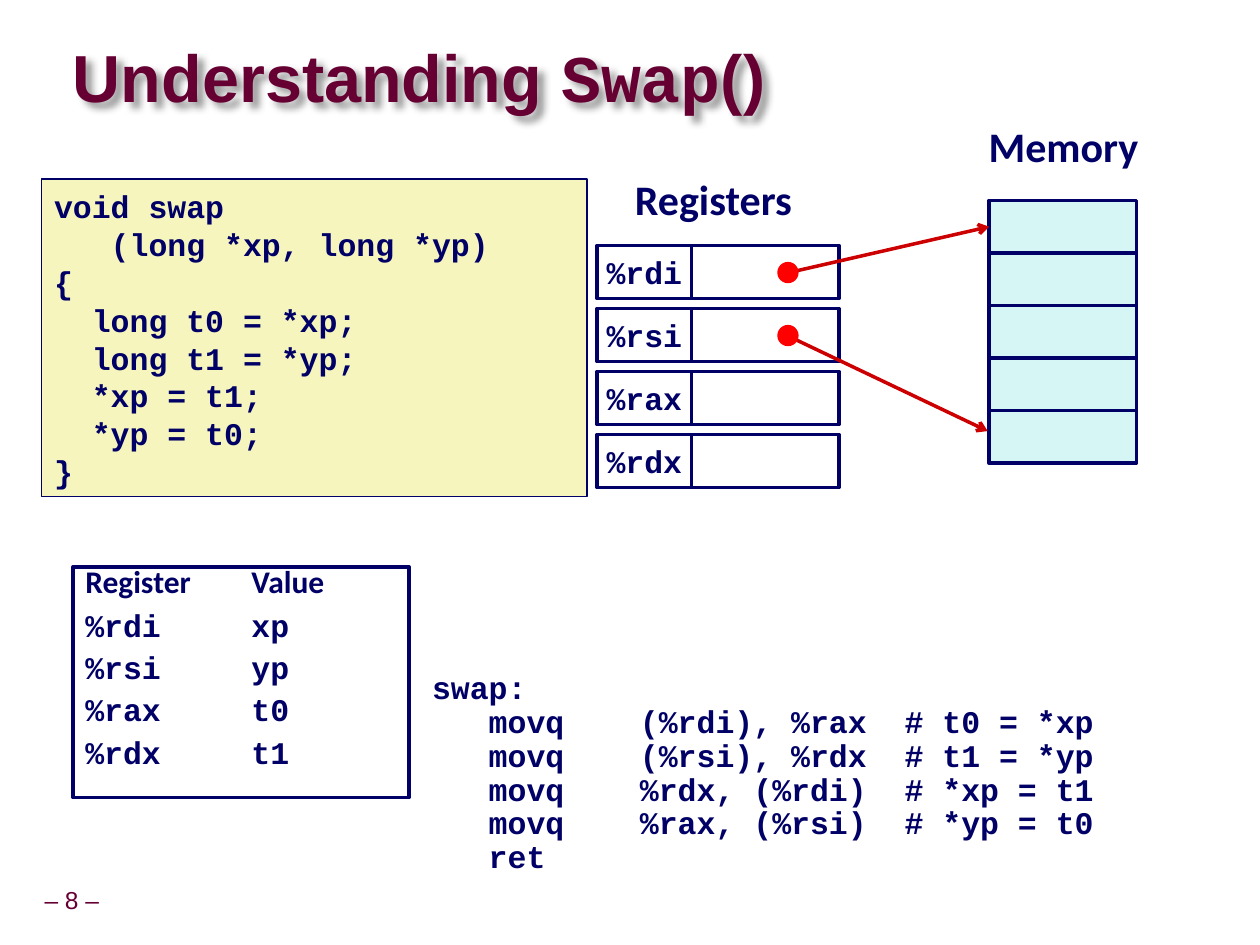
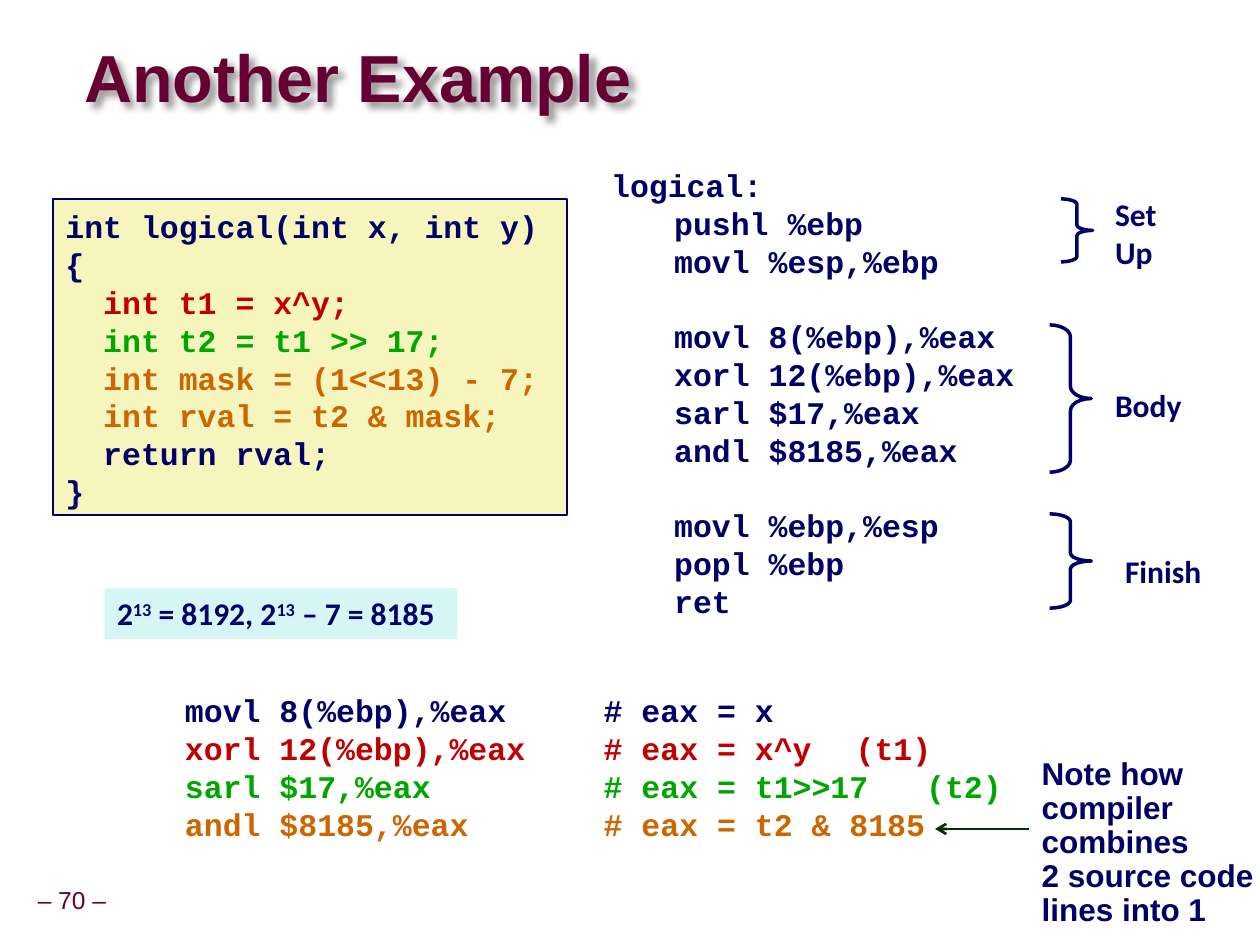
import lxml.etree
import pptx
import pptx.dml.color
import pptx.enum.shapes
import pptx.enum.text
import pptx.oxml.ns
import pptx.util

Cm = pptx.util.Cm
Pt = pptx.util.Pt
Kind = pptx.enum.shapes.MSO_SHAPE
Align = pptx.enum.text.PP_ALIGN
Anchor = pptx.enum.text.MSO_ANCHOR
qn = pptx.oxml.ns.qn

NAVY, MAROON, WHITE = "000066", "660033", "FFFFFF"
CREAM, AQUA = "F6F5BD", "D6F5F5"
RED, GREEN, ORANGE = "C00000", "00A600", "CC6600"
ARROW_RED, DOT_RED, DARK_GREEN = "CC0000", "FF0000", "003300"

CODE = {"name": "Courier New", "size": Pt(18), "bold": True}
LABEL = {"name": "Calibri", "size": Pt(18), "bold": True}
HEADING = {"name": "Calibri", "size": Pt(24), "bold": True}
NOTE = {"name": "Arial", "size": Pt(18), "bold": True}
TITLE = {"name": "Arial", "size": Pt(38), "bold": True}
PAGE = {"name": "Arial", "size": Pt(14), "bold": False}
CODE_LINES = {"line_spacing": Pt(21.6)}
TIGHT_LINES = {"line_spacing": Pt(19.4)}
CODE_TABS = (1.27, 4.11)


def color(value):
    return pptx.dml.color.RGBColor.from_string(value)


def apply(target, formats):
    for name, value in formats.items():
        setattr(target, name, value)


def margins(size):
    return {f"margin_{side}": Cm(size) for side in ("left", "top", "right", "bottom")}


class Deck:
    def __init__(self):
        self.presentation = pptx.Presentation()
        self.presentation.slide_width = Cm(25.4)
        self.presentation.slide_height = Cm(19.05)
        self.slide = None

    def start(self, number, title, left, width):
        layout = self.presentation.slide_layouts[5]
        self.slide = self.presentation.slides.add_slide(layout)
        shape = self.slide.shapes.title
        apply(shape, {"left": Cm(left), "top": Cm(0.84), "width": Cm(width), "height": Cm(1.6)})
        self.put_text(shape, [title], TITLE, MAROON,
                      frame={**margins(0), "vertical_anchor": Anchor.MIDDLE},
                      lines={"line_spacing": 0.87, "alignment": Align.LEFT})
        self.shadow(shape)
        self.text((0.61, 17.78, 1.68, 0.79), [f"– {number} –"], PAGE, MAROON, wrap=False,
                  frame={**margins(0.13), "vertical_anchor": Anchor.MIDDLE},
                  lines={"line_spacing": 0.9, "alignment": Align.CENTER})

    def shadow(self, shape):
        effects = lxml.etree.SubElement(shape._element.spPr, qn("a:effectLst"))
        outer = lxml.etree.SubElement(effects, qn("a:outerShdw"), blurRad="50800",
                                      dist="53882", dir="2700000", algn="tl", rotWithShape="0")
        tint = lxml.etree.SubElement(outer, qn("a:srgbClr"), val="000000")
        lxml.etree.SubElement(tint, qn("a:alpha"), val="40000")

    def put_text(self, shape, rows, font, ink=NAVY, wrap=True, tabs=(), frame=None,
                 lines=None, gaps=None):
        text_frame = shape.text_frame
        apply(text_frame, {"word_wrap": wrap, "auto_size": pptx.enum.text.MSO_AUTO_SIZE.NONE,
                           "vertical_anchor": Anchor.TOP, **(frame or {})})
        for index, row in enumerate(rows):
            paragraph = text_frame.add_paragraph() if index else text_frame.paragraphs[0]
            if tabs:
                stops = lxml.etree.SubElement(paragraph._p.get_or_add_pPr(), qn("a:tabLst"))
                for stop in tabs:
                    lxml.etree.SubElement(stops, qn("a:tab"), pos=str(Cm(stop)), algn="l")
            apply(paragraph, {"alignment": Align.LEFT, **(lines or {})})
            if gaps and index in gaps:
                paragraph.space_before = Pt(gaps[index])
            for content, changes in [(row, {})] if isinstance(row, str) else row:
                run = paragraph.add_run()
                run.text = content
                changes = dict(changes)
                run.font.color.rgb = color(changes.pop("ink", ink))
                if changes.pop("raised", False):
                    run._r.get_or_add_rPr().set("baseline", "30000")
                apply(run.font, {**font, **changes})

    def text(self, place, rows, font, ink=NAVY, **options):
        shape = self.slide.shapes.add_textbox(*map(Cm, place))
        self.put_text(shape, rows, font, ink, **options)

    def shape(self, kind, place, fill=None, line=NAVY, weight=2):
        shape = self.slide.shapes.add_shape(kind, *map(Cm, place))
        shape.shadow.inherit = False
        if fill:
            shape.fill.solid()
            shape.fill.fore_color.rgb = color(fill)
        else:
            shape.fill.background()
        if line:
            shape.line.color.rgb = color(line)
            shape.line.width = Pt(weight)
        else:
            shape.line.fill.background()
        return shape

    def code_box(self, place, rows):
        shape = self.shape(Kind.RECTANGLE, place, CREAM, weight=1)
        self.put_text(shape, rows, CODE, tabs=CODE_TABS, lines=CODE_LINES,
                      frame={"margin_top": Cm(0.17)})

    def brace(self, place, curve):
        self.shape(Kind.RIGHT_BRACE, place).adjustments[0] = curve

    def arrow(self, start, end, ink, weight=2, target=None):
        connector = self.slide.shapes.add_connector(
            pptx.enum.shapes.MSO_CONNECTOR.STRAIGHT, *map(Cm, (*start, *end)))
        if target:
            connector.end_connect(target, 1)
        connector.line.color.rgb = color(ink)
        connector.line.width = Pt(weight)
        properties = connector._element.spPr
        lxml.etree.SubElement(properties.find(qn("a:ln")), qn("a:tailEnd"), type="arrow")
        lxml.etree.SubElement(properties, qn("a:effectLst"))


def swap_slide(deck):
    deck.start(8, [("Understanding ", {}), ("Swap", {"name": "Courier New"}), ("()", {})],
               1.47, 17.7)
    deck.code_box((0.84, 3.61, 11, 6.4), [
        "void swap", "   (long *xp, long *yp)", "{", "  long t0 = *xp;",
        "  long t1 = *yp;", "  *xp = t1;", "  *yp = t0;", "}"])

    registers = {"%rdi": "xp", "%rsi": "yp", "%rax": "t0", "%rdx": "t1"}
    deck.text((12.55, 3.38, 3.76, 1.27), ["Registers"], HEADING, wrap=False)
    for index, register in enumerate(registers):
        top = 4.95 + 1.27 * index
        name_box = deck.shape(Kind.RECTANGLE, (12.04, top, 1.9, 1.07), WHITE)
        deck.put_text(name_box, [register], CODE, wrap=False,
                      frame={"vertical_anchor": Anchor.MIDDLE},
                      lines={"alignment": Align.CENTER})
        deck.shape(Kind.RECTANGLE, (13.94, top, 2.97, 1.07), WHITE)

    deck.text((19.68, 2.31, 3.56, 1.27), ["Memory"], HEADING, wrap=False)
    cells = [deck.shape(Kind.RECTANGLE, (19.94, 4.04 + 1.06 * index, 2.97, 1.06), AQUA)
             for index in range(5)]
    deck.arrow((15.88, 5.5), (19.94, 4.57), ARROW_RED, target=cells[0])
    deck.arrow((15.88, 6.77), (19.91, 8.69), ARROW_RED)
    for top in (5.28, 6.55):
        deck.shape(Kind.OVAL, (15.67, top, 0.43, 0.43), DOT_RED, line=None)

    value_box = deck.shape(Kind.RECTANGLE, (1.47, 11.43, 6.78, 4.65))
    rows = [[("Register\tValue", {"name": "Calibri"})]]
    rows += [f"{register}\t{value}" for register, value in registers.items()]
    deck.put_text(value_box, rows, CODE, tabs=(3.35,), lines={"line_spacing": Pt(15.1)},
                  gaps={1: 10, 2: 9.1, 3: 9.1, 4: 9.1})
    deck.text((8.46, 13.34, 16.31, 4.5), [
        "swap:",
        "   movq    (%rdi), %rax  # t0 = *xp",
        "   movq    (%rsi), %rdx  # t1 = *yp",
        "   movq    %rdx, (%rdi)  # *xp = t1",
        "   movq    %rax, (%rsi)  # *yp = t0",
        "   ret"], CODE, lines=TIGHT_LINES, frame={"margin_top": Cm(0.2)})


def logical_slide(deck):
    deck.start(70, [("Another Example", {})], 1.7, 16.41)
    deck.code_box((1.07, 4.01, 10.36, 6.38), [
        "int logical(int x, int y)", "{",
        [("  int t1 = x^y;", {"ink": RED})],
        [("  int t2 = t1 >> 17;", {"ink": GREEN})],
        [("  int mask = (1<<13) - 7;", {"ink": ORANGE})],
        [("  int rval = t2 & mask;", {"ink": ORANGE})],
        "  return rval;", "}"])
    deck.text((12.07, 3.18, 11.43, 9.4), [
        "logical:", "\tpushl %ebp", "\tmovl %esp,%ebp",
        "\tmovl 8(%ebp),%eax", "\txorl 12(%ebp),%eax", "\tsarl $17,%eax",
        "\tandl $8185,%eax", "\tmovl %ebp,%esp", "\tpopl %ebp", "\tret"],
        CODE, tabs=CODE_TABS, lines=CODE_LINES, gaps={3: 21.6, 7: 21.6},
        frame={"margin_top": Cm(0.17)})

    deck.brace((21.39, 4.01, 0.64, 1.27), 0.17)
    deck.brace((21.16, 6.55, 0.84, 2.97), 0.29)
    deck.brace((21.16, 10.36, 0.84, 1.9), 0.19)
    for place, rows in (((22.23, 3.81, 1.35, 1.8), ["Set", "Up"]),
                        ((22.23, 7.65, 1.85, 1.02), ["Body"]),
                        ((22.43, 11, 2.06, 1.02), ["Finish"])):
        deck.text(place, rows, LABEL, wrap=False)

    power_box = deck.shape(Kind.RECTANGLE, (2.11, 11.86, 7.11, 1.02), AQUA, line=None)
    exponent = ("13", {"raised": True})
    deck.put_text(power_box, [[("2", {}), exponent, (" = 8192, 2", {}), exponent,
                               (" – 7 = 8185", {})]], LABEL, wrap=False)
    deck.text((3.18, 13.77, 17.98, 3.3), [
        "\tmovl 8(%ebp),%eax\t# eax = x",
        [("\txorl 12(%ebp),%eax\t# eax = x^y\t(t1)", {"ink": RED})],
        [("\tsarl $17,%eax\t# eax = t1>>17\t(t2)", {"ink": GREEN})],
        [("\tandl $8185,%eax\t# eax = t2 & 8185", {"ink": ORANGE})]],
        CODE, tabs=(0.3, 8.74, 13.82), lines=CODE_LINES, frame={"margin_top": Cm(0.17)})
    deck.text((20.75, 15.16, 4.83, 3.73), [
        "Note how", "compiler", "combines", "2 source code", "lines into 1"],
        NOTE, wrap=False, lines=TIGHT_LINES)
    deck.arrow((20.75, 16.71), (18.85, 16.71), DARK_GREEN, 1.5)


def main():
    deck = Deck()
    swap_slide(deck)
    logical_slide(deck)
    deck.presentation.save("out.pptx")


if __name__ == "__main__":
    main()
